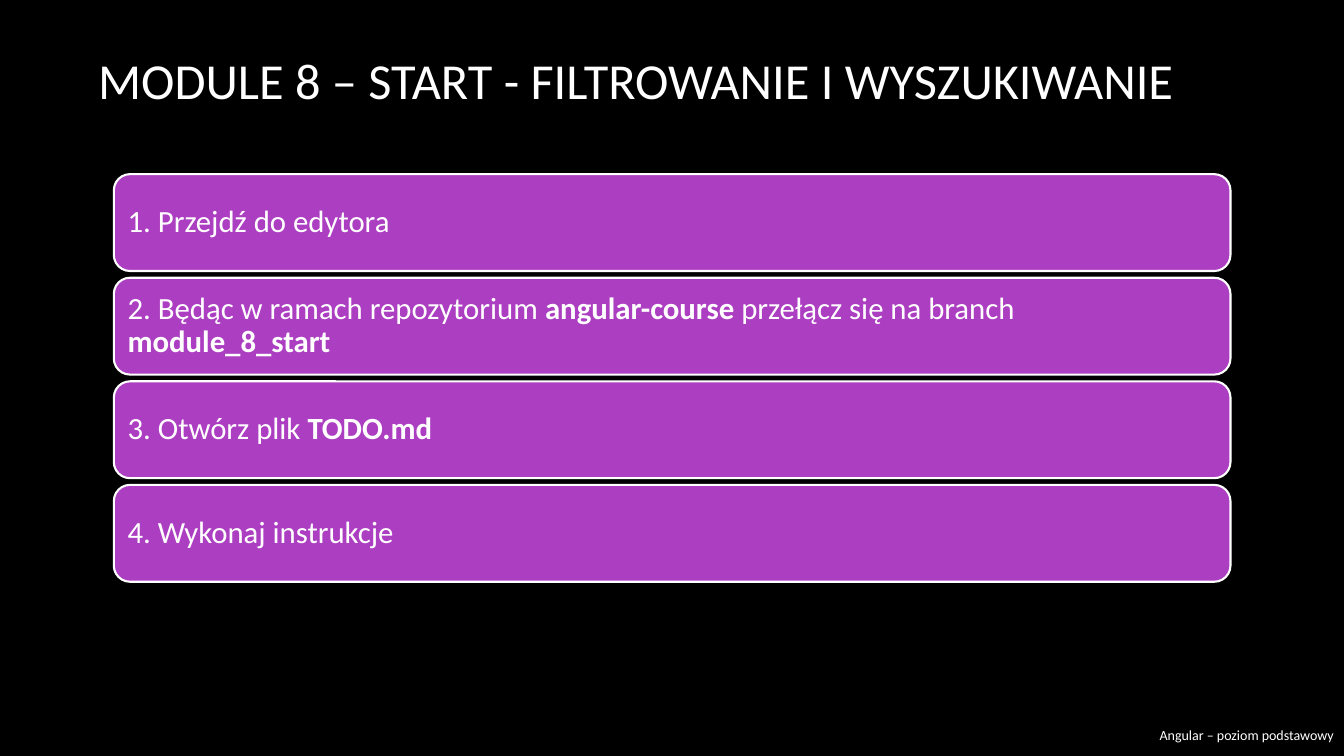
from pptx import Presentation
from pptx.dml.color import RGBColor
from pptx.enum.shapes import MSO_SHAPE
from pptx.enum.text import MSO_ANCHOR, PP_ALIGN
from pptx.util import Cm, Pt

BLACK = RGBColor(0x00, 0x00, 0x00)
WHITE = RGBColor(0xFF, 0xFF, 0xFF)
PURPLE = RGBColor(0xAC, 0x3E, 0xC1)
FONT = "Calibri"

# Each step is a list of (text, bold) runs
STEPS = [
    [("1. Przejdź do edytora", False)],
    [("2. Będąc w ramach repozytorium ", False), ("angular-course", True),
     (" przełącz się na branch ", False), ("module_8_start", True)],
    [("3. Otwórz plik ", False), ("TODO.md", True)],
    [("4. Wykonaj instrukcje", False)],
]
STEP_LEFT, STEP_TOP = 2.87, 4.39
STEP_WIDTH, STEP_HEIGHT, STEP_PITCH = 28.14, 2.44, 2.61


def write_runs(frame, runs, size, align):
    frame.word_wrap = True
    frame.vertical_anchor = MSO_ANCHOR.MIDDLE
    paragraph = frame.paragraphs[0]
    paragraph.alignment = align
    for text, bold in runs:
        run = paragraph.add_run()
        run.text = text
        run.font.name = FONT
        run.font.size = Pt(size)
        run.font.bold = bold
        run.font.color.rgb = WHITE
    return paragraph


def add_label(slide, text, left, top, width, height, size, align):
    label = slide.shapes.add_textbox(Cm(left), Cm(top), Cm(width), Cm(height))
    write_runs(label.text_frame, [(text, False)], size, align)


def add_step(slide, index, runs):
    step = slide.shapes.add_shape(
        MSO_SHAPE.ROUNDED_RECTANGLE,
        Cm(STEP_LEFT), Cm(STEP_TOP + index * STEP_PITCH),
        Cm(STEP_WIDTH), Cm(STEP_HEIGHT))
    step.shadow.inherit = False
    step.fill.solid()
    step.fill.fore_color.rgb = PURPLE
    step.line.color.rgb = WHITE
    step.line.width = Pt(1.5)
    frame = step.text_frame
    frame.margin_left = frame.margin_right = Cm(0.23)
    frame.margin_top = frame.margin_bottom = Cm(0.23)
    write_runs(frame, runs, 22, PP_ALIGN.LEFT).line_spacing = 0.9


def main():
    prs = Presentation()
    prs.slide_width, prs.slide_height = Cm(33.87), Cm(19.05)
    slide = prs.slides.add_slide(prs.slide_layouts[6])

    # Background
    slide.background.fill.solid()
    slide.background.fill.fore_color.rgb = BLACK

    # Title and footer
    add_label(slide, "MODULE 8 – START - FILTROWANIE I WYSZUKIWANIE",
              1.96, -0.03, 28.14, 4.04, 36, PP_ALIGN.CENTER)
    add_label(slide, "Angular – poziom podstawowy",
              28.63, 18.01, 5.23, 1.04, 10, PP_ALIGN.RIGHT)

    # Stack of steps
    for index, runs in enumerate(STEPS):
        add_step(slide, index, runs)

    prs.save("out.pptx")


if __name__ == "__main__":
    main()
